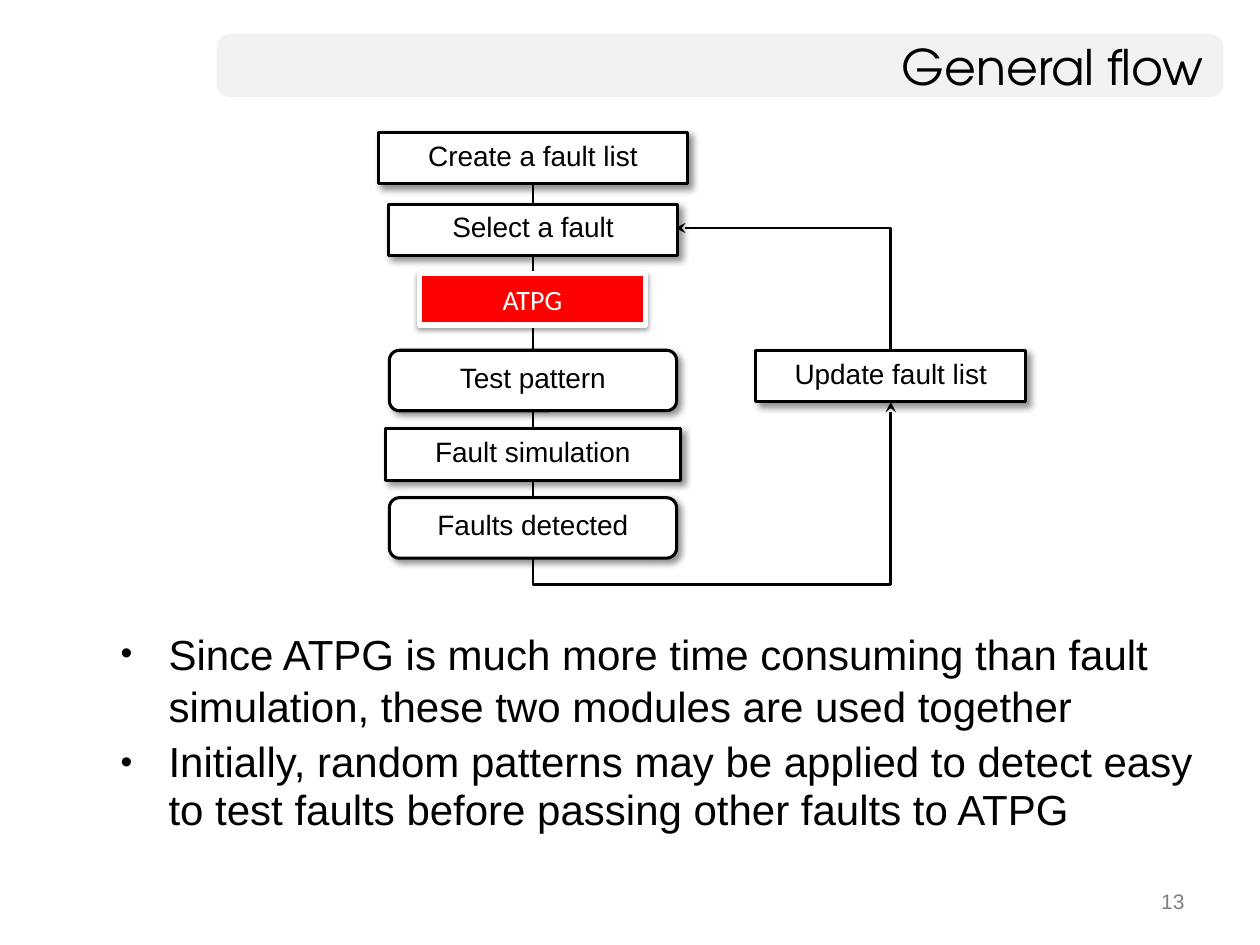
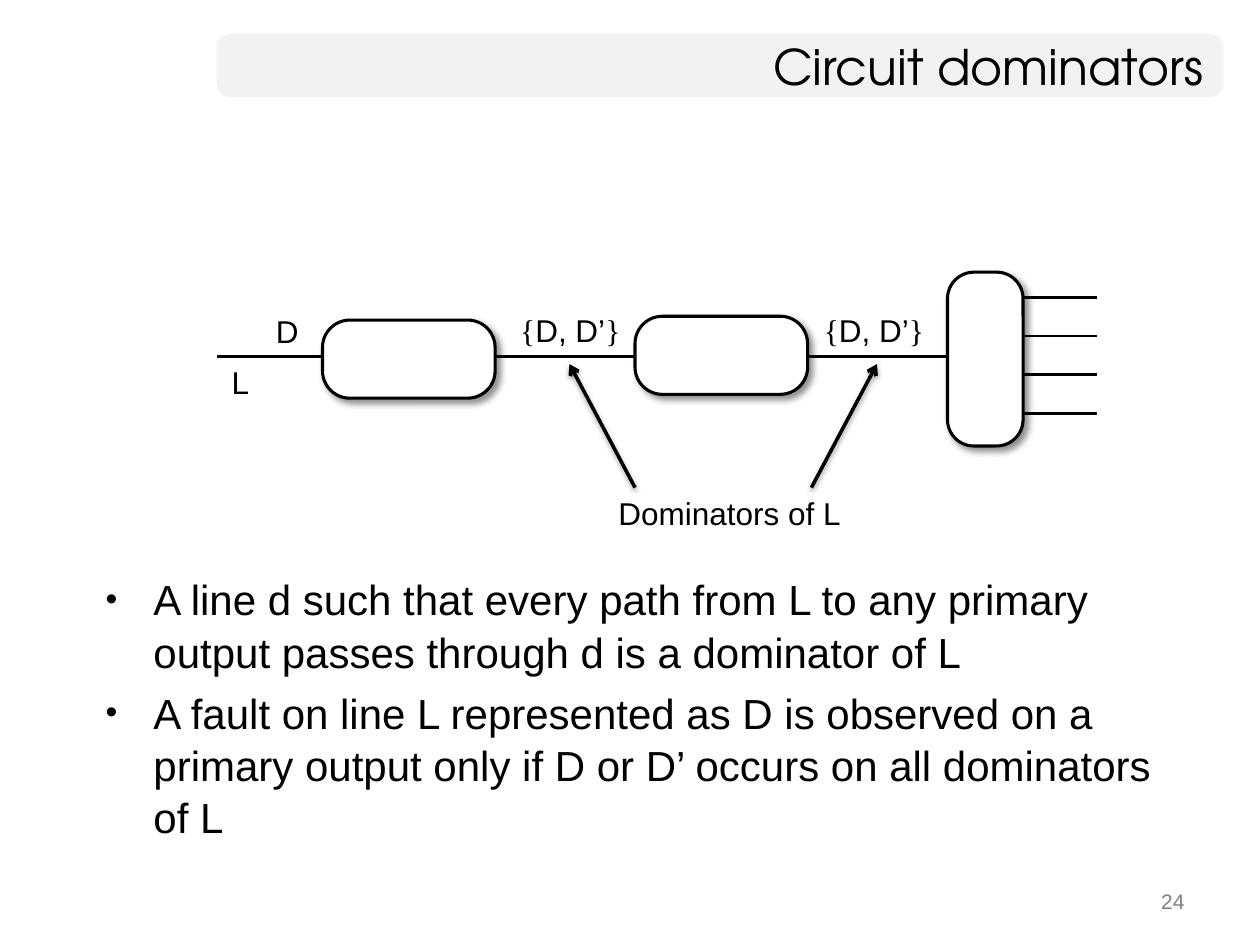
from lxml import etree
from pptx import Presentation
from pptx import util as u
from pptx.dml.color import RGBColor
from pptx.enum import shapes, text
from pptx.oxml import ns

# Shared look
BLACK, WHITE, RED = "000000", "FFFFFF", "FF0000"
BAND, PAGE_GREY = "F2F2F2", "808080"
BODY_FONT, TITLE_FONT = "Arial", "TeX Gyre Adventor"
BRACE_FONT, ATPG_FONT = "Times New Roman", "Calibri"
LABEL_INSETS = (0.1, 0.05, 0.1, 0.1)
DEFAULT_INSETS = (0.1, 0.05, 0.1, 0.05)

# Shadows: opacity %, blur pt, distance pt, direction in degrees
BOX_SHADOW = (43, 4, 3, 45)
SOFT_SHADOW = (38, 3.1, 1.6, 90)

SHAPE = shapes.MSO_SHAPE
ALIGN = text.PP_ALIGN


def color(value):
    return RGBColor.from_string(value)


def add_xml(parent, tag, **attributes):
    child = etree.SubElement(parent, ns.qn(tag))
    for name, value in attributes.items():
        child.set(name, str(value))
    return child


# Lines and effects
def style_line(shape, line_color, width, arrow=None):
    shape.line.color.rgb = color(line_color)
    shape.line.width = u.Pt(width)
    if arrow:
        line = shape.element.spPr.find(ns.qn("a:ln"))
        add_xml(line, "a:tailEnd", type=arrow)


def set_shadow(shape, shadow=None):
    properties = shape.element.spPr
    effects = properties.find(ns.qn("a:effectLst"))
    if effects is None:
        effects = add_xml(properties, "a:effectLst")
    if shadow:
        opacity, blur, distance, direction = shadow
        outer = add_xml(effects, "a:outerShdw", blurRad=u.Pt(blur),
                        dist=u.Pt(distance), dir=direction * 60000,
                        algn="ctr", rotWithShape=0)
        tint = add_xml(outer, "a:srgbClr", val=BLACK)
        add_xml(tint, "a:alpha", val=opacity * 1000)


def add_line(page, start, end, width=1.5, arrow=None, shadow=None):
    line = page.shapes.add_connector(
        shapes.MSO_CONNECTOR.STRAIGHT, *map(u.Inches, (*start, *end)))
    style_line(line, BLACK, width, arrow)
    set_shadow(line, shadow)


def add_route(page, points):
    """Draw an open bent line with an arrowhead at its last point."""
    corners = [(u.Inches(x), u.Inches(y)) for x, y in points]
    builder = page.shapes.build_freeform(*corners[0])
    builder.add_line_segments(corners[1:], close=False)
    route = builder.convert_to_shape()
    route.shadow.inherit = False
    route.fill.background()
    style_line(route, BLACK, 1.5, "stealth")


# Text
def write(box, paragraphs, size=18, font=BODY_FONT, ink=BLACK,
          align=ALIGN.LEFT, anchor=text.MSO_ANCHOR.TOP, wrap=True,
          insets=DEFAULT_INSETS, bullet=False, spacings=None, gap=0):
    """Fill a box; a paragraph is a string or a list of (string, font)."""
    frame = box.text_frame
    frame.word_wrap = wrap
    frame.vertical_anchor = anchor
    (frame.margin_left, frame.margin_top,
     frame.margin_right, frame.margin_bottom) = map(u.Inches, insets)
    for index, content in enumerate(paragraphs):
        para = frame.paragraphs[0] if index == 0 else frame.add_paragraph()
        para.alignment = align
        if index:
            para.space_before = u.Pt(gap)
        if spacings:
            para.line_spacing = spacings[index]
        if bullet:
            add_bullet(para)
        spans = [(content, font)] if isinstance(content, str) else content
        for words, face in spans:
            span = para.add_run()
            span.text = words
            span.font.size = u.Pt(size)
            span.font.name = face
            span.font.color.rgb = color(ink)


def add_bullet(para):
    properties = para._p.get_or_add_pPr()
    properties.set("marL", str(u.Inches(0.38)))
    properties.set("indent", str(u.Inches(-0.38)))
    add_xml(properties, "a:buSzPct", val=80000)
    add_xml(properties, "a:buFont", typeface=BODY_FONT)
    add_xml(properties, "a:buChar", char="•")


def add_text(page, place, paragraphs, **style):
    box = page.shapes.add_textbox(*map(u.Inches, place))
    write(box, paragraphs, **style)


def add_label(page, left, top, width, content):
    add_text(page, (left, top, width, 0.4), [content], wrap=False)


def add_bullets(page, place, paragraphs, spacings):
    add_text(page, place, paragraphs, size=24, bullet=True,
             spacings=spacings, gap=4.8)


# Boxes
def add_box(page, kind, place, fill=WHITE, line=BLACK, width=1.75,
            shadow=BOX_SHADOW, corner=None):
    box = page.shapes.add_shape(kind, *map(u.Inches, place))
    if corner is not None:
        box.adjustments[0] = corner
    box.shadow.inherit = False
    box.fill.solid()
    box.fill.fore_color.rgb = color(fill)
    if line:
        style_line(box, line, width)
    else:
        box.line.fill.background()
    if shadow:
        set_shadow(box, shadow)
    return box


def add_step(page, words, center, top, width, rounded=False):
    kind = (SHAPE.FLOWCHART_ALTERNATE_PROCESS if rounded
            else SHAPE.FLOWCHART_PROCESS)
    height = 0.48 if rounded else 0.41
    box = add_box(page, kind, (center - width / 2, top, width, height))
    write(box, [words], size=16, align=ALIGN.CENTER,
          anchor=text.MSO_ANCHOR.MIDDLE, insets=LABEL_INSETS)


def add_page(deck, title, number):
    page = deck.slides.add_slide(deck.slide_layouts[6])
    add_box(page, SHAPE.ROUNDED_RECTANGLE, (1.72, 0.27, 7.99, 0.5),
            fill=BAND, line=None, shadow=None, corner=0.208)
    add_text(page, (7.17, 7, 2.33, 0.35), [str(number)], size=12,
             ink=PAGE_GREY, align=ALIGN.RIGHT)
    add_text(page, (1.72, 0.27, 7.93, 0.5), [title], size=28,
             font=TITLE_FONT, align=ALIGN.RIGHT,
             anchor=text.MSO_ANCHOR.MIDDLE)
    return page


# Slides
def build_general_flow(deck):
    page = add_page(deck, "General flow", 13)
    add_bullets(page, (0.86, 4.92, 9, 1.72), [
        "Since ATPG is much more time consuming than fault simulation, "
        "these two modules are used together",
        "Initially, random patterns may be applied to detect easy to test "
        "faults before passing other faults to ATPG",
    ], spacings=(1.04, 0.95))

    # Routes lie behind the steps
    main_x, update_x = 4.23, 7.07
    add_route(page, [(main_x, 1.33), (main_x, 4.64),
                     (update_x, 4.64), (update_x, 3.19)])
    add_route(page, [(update_x, 2.92), (update_x, 1.81), (5.36, 1.81)])

    for words, center, top, width, rounded in (
            ("Create a fault list", main_x, 1.05, 2.45, False),
            ("Select a fault", main_x, 1.62, 2.29, False),
            ("Test pattern", main_x, 2.78, 2.28, True),
            ("Fault simulation", main_x, 3.4, 2.34, False),
            ("Faults detected", main_x, 3.95, 2.28, True),
            ("Update fault list", update_x, 2.78, 2.14, False)):
        add_step(page, words, center, top, width, rounded)

    atpg = add_box(page, SHAPE.FLOWCHART_PROCESS, (3.33, 2.17, 1.79, 0.41),
                   fill=RED, line=WHITE, width=3, shadow=SOFT_SHADOW)
    write(atpg, ["ATPG"], size=16, font=ATPG_FONT, ink=WHITE, wrap=False,
          align=ALIGN.CENTER, anchor=text.MSO_ANCHOR.MIDDLE)


def build_circuit_dominators(deck):
    page = add_page(deck, "Circuit dominators", 24)
    add_bullets(page, (0.74, 4.49, 8.76, 2.21), [
        "A line d such that every path from L to any primary output passes "
        "through d is a dominator of L",
        "A fault on line L represented as D is observed on a primary output "
        "only if D or D’ occurs on all dominators of L",
    ], spacings=(1.04, 1.04))

    # Signal line and primary outputs
    add_line(page, (8.12, 2.83), (1.72, 2.83))
    for output in range(4):
        y = 2.36 + output * 0.307
        add_line(page, (8.71, y), (7.69, y))

    # Labels
    add_label(page, 2.09, 2.43, 0.38, "D")
    add_label(page, 1.74, 2.83, 0.33, "L")
    add_label(page, 4.81, 3.87, 1.97, "Dominators of L")
    values = [("{", BRACE_FONT), ("D, D’", BODY_FONT), ("}", BRACE_FONT)]
    for left in (4.03, 6.44):
        add_label(page, left, 2.42, 1.01, values)

    # Pointers to the dominators
    for start_x, end_x in ((5.04, 4.52), (6.44, 6.96)):
        add_line(page, (start_x, 3.87), (end_x, 2.89), width=2,
                 arrow="arrow", shadow=SOFT_SHADOW)

    # Circuit blocks
    for place in ((2.56, 2.54, 1.37, 0.62), (5.04, 2.51, 1.37, 0.62),
                  (7.52, 2.16, 0.6, 1.38)):
        add_box(page, SHAPE.ROUNDED_RECTANGLE, place, corner=0.35)


def main():
    deck = Presentation()
    deck.slide_width, deck.slide_height = u.Inches(10), u.Inches(7.5)
    build_general_flow(deck)
    build_circuit_dominators(deck)
    deck.save("out.pptx")


if __name__ == "__main__":
    main()
